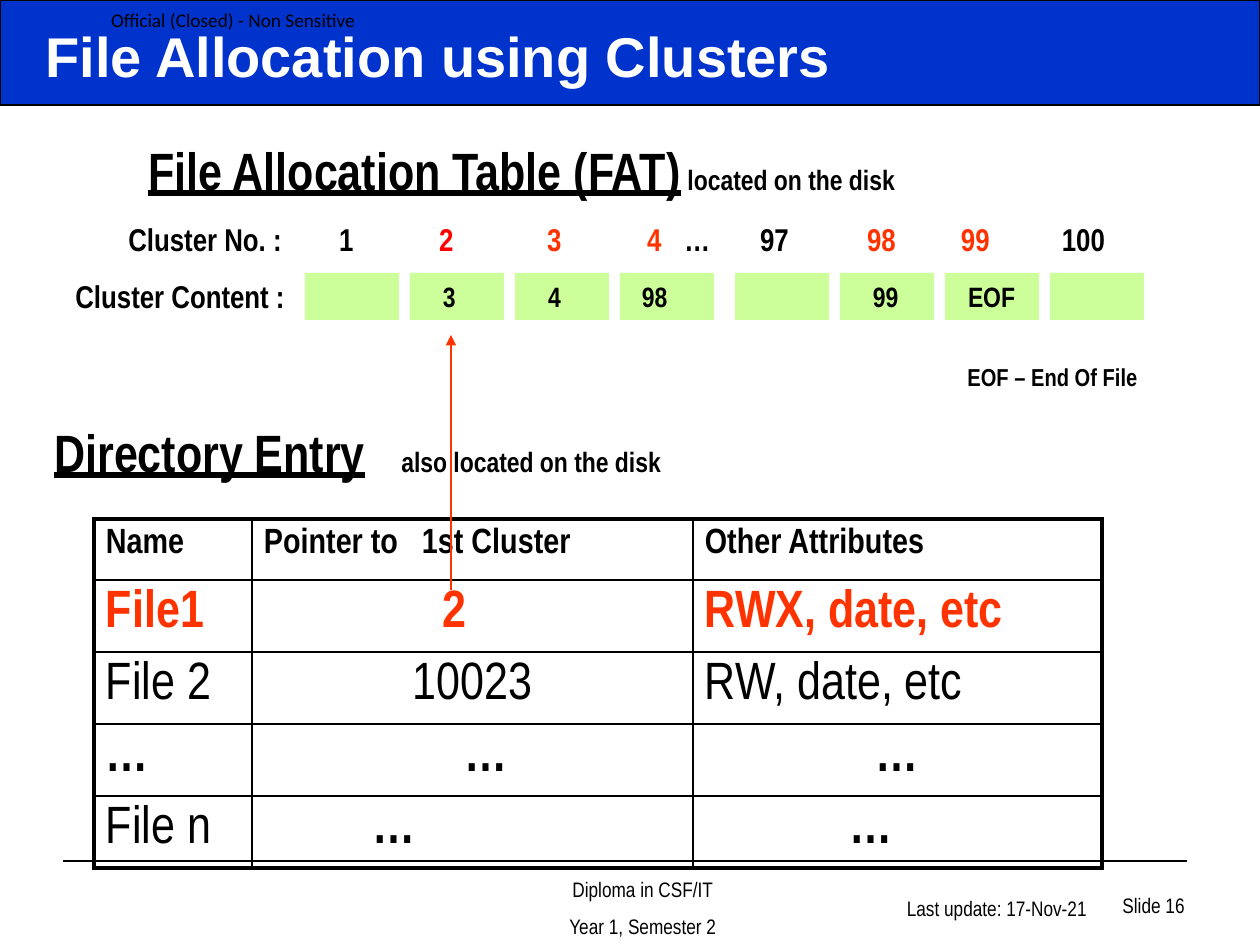
from lxml.etree import SubElement
from pptx import Presentation
from pptx.dml.color import RGBColor
from pptx.enum.shapes import MSO_CONNECTOR as Connector, MSO_SHAPE as Shape
from pptx.enum.text import MSO_ANCHOR as Anchor, PP_ALIGN as Align
from pptx.oxml.ns import qn
from pptx.util import Pt

PX = 7257.14  # EMU per pixel at 126 pixels to the inch
BLACK, WHITE, BLUE, GREEN = "000000", "FFFFFF", "0033CC", "CCFF99"
ORANGE, RED = "FF3300", "FF0000"
NARROW = "Arial Narrow"
LEFT, CENTER, RIGHT = Align.LEFT, Align.CENTER, Align.RIGHT

# Runs: (text, size, bold, colour, underline)
TITLE = [[("File Allocation using Clusters", 32, True, WHITE, False)]]
MARKING = [[("Official (Closed) - Non Sensitive", 11, False, BLACK, False)]]
FAT_HEADING = [[("File Allocation Table (FAT)", 30, True, BLACK, True),
                (" located on the disk", 16, True, BLACK, False)]]
DIRECTORY_HEADING = [[("Directory Entry", 30, True, BLACK, True),
                      ("\talso located on the disk", 16, True, BLACK, False)]]
EOF_NOTE = [[("EOF – End Of File", 14, True, BLACK, False)]]
CONTENT_LABEL = [[("Cluster Content :", 18, True, BLACK, False)]]
CLUSTER_NUMBERS = [[(text, 18, True, color, False) for text, color in (
    ("Cluster No. :\t1", BLACK), ("\t2", RED), ("\t3\t4", ORANGE),
    ("\t…\t97", BLACK), ("\t98\t99", ORANGE), ("\t100", BLACK))]]
NUMBER_CENTERS = (346, 446, 554, 654, 697, 774, 881, 975, 1083)
COURSE, UPDATED, PAGE = (
    [[(line, 12, False, BLACK, False)] for line in lines] for lines in (
        ("Diploma in CSF/IT", "Year 1, Semester 2"),
        ("Last update: 17-Nov-21",), ("Slide 16",)))

# Cluster contents in two banks: (first left edge, [(text, left inset)])
CLUSTER_BANKS = [
    (305, [("", 0), ("3", 33), ("4", 33), ("98", 22)]),
    (735, [("", 0), ("99", 33), ("EOF", 23), ("", 0)]),
]

# Directory cells: (text, bold, alignment, left inset)
COLUMN_WIDTHS = (158, 441, 409)
ROW_HEIGHTS = (61, 70, 71, 70, 70)
DIRECTORY = [
    [("Name", True, LEFT, 12), ("Pointer to   1st Cluster", True, LEFT, 12),
     ("Other Attributes", True, LEFT, 12)],
    [("File1", True, LEFT, 12), ("2", True, LEFT, 191),
     ("RWX, date, etc", True, LEFT, 12)],
    [("File 2", False, LEFT, 12), ("10023", False, CENTER, 12),
     ("RW, date, etc", False, LEFT, 12)],
    [("…", True, LEFT, 12), ("…", True, CENTER, 40), ("…", True, CENTER, 12)],
    [("File n", False, LEFT, 12), ("…", True, LEFT, 121),
     ("…", True, LEFT, 157)],
]


def px(value):
    return round(value * PX)


def rgb(color):
    return RGBColor.from_string(color)


def write(frame, paragraphs, font=NARROW, align=LEFT, before=0):
    for i, runs in enumerate(paragraphs):
        paragraph = frame.paragraphs[0] if i == 0 else frame.add_paragraph()
        paragraph.alignment = align
        paragraph.space_before = Pt(before)
        for text, size, bold, color, underline in runs:
            run = paragraph.add_run()
            run.text = text
            run.font.name, run.font.size = font, Pt(size)
            run.font.bold, run.font.underline = bold, underline
            run.font.color.rgb = rgb(color)


def add_text(box, paragraphs, anchor=Anchor.BOTTOM, inset=12.6, **style):
    frame = slide.shapes.add_textbox(*map(px, box)).text_frame
    frame.word_wrap = True
    frame.vertical_anchor = anchor
    frame.margin_left = px(inset)
    write(frame, paragraphs, **style)
    return frame


def add_tabs(frame, stops, align):
    tabs = SubElement(frame.paragraphs[0]._p.get_or_add_pPr(), qn("a:tabLst"))
    for stop in stops:
        SubElement(tabs, qn("a:tab"), pos=str(px(stop)), algn=align)


def add_rect(box, fill, line=None):
    rect = slide.shapes.add_shape(Shape.RECTANGLE, *map(px, box))
    rect.shadow.inherit = False
    rect.fill.solid()
    rect.fill.fore_color.rgb = rgb(fill)
    if line:
        rect.line.color.rgb, rect.line.width = rgb(line), Pt(1.5)
    else:
        rect.line.fill.background()
    return rect


def add_line(ends, color, width):
    line = slide.shapes.add_connector(Connector.STRAIGHT, *map(px, ends))
    line.line.color.rgb, line.line.width = rgb(color), Pt(width)
    SubElement(line._element.spPr, qn("a:effectLst"))
    return line


def add_borders(cell, widths):
    props = cell._tc.get_or_add_tcPr()
    for side, width in zip("LRTB", widths):
        border = SubElement(props, qn("a:ln" + side), w=str(Pt(width)))
        fill = SubElement(border, qn("a:solidFill"))
        SubElement(fill, qn("a:srgbClr"), val=BLACK)


deck = Presentation()
deck.slide_width, deck.slide_height = px(1260), px(945)
slide = deck.slides.add_slide(deck.slide_layouts[6])

# Footer and title bar
add_text((427, 892, 368, 53), COURSE, inset=76, align=CENTER, before=7)
add_line((63, 861, 1187, 861), BLACK, 1)
add_rect((0, 0, 1260, 105), BLUE, BLACK)
add_text((829, 874, 272, 53), UPDATED, inset=76, align=CENTER)
add_text((903, 861, 294, 63), PAGE, align=RIGHT)
add_text((111, 0, 268, 39), MARKING, Anchor.MIDDLE, 0, font="Calibri")
add_text((33, 24, 895, 63), TITLE, Anchor.MIDDLE, font="Arial")

# File allocation table
add_text((136, 131, 1008, 76), FAT_HEADING)
numbers = add_text((116, 214, 1031, 50), CLUSTER_NUMBERS)
add_tabs(numbers, [center - 128 for center in NUMBER_CENTERS], "ctr")
add_text((63, 271, 237, 50), CONTENT_LABEL)
for bank_left, clusters in CLUSTER_BANKS:
    for i, (content, inset) in enumerate(clusters):
        cluster = add_rect((bank_left + 105 * i, 273, 94, 47), GREEN)
        if content:
            frame = cluster.text_frame
            frame.margin_left, frame.margin_right = px(inset), 0
            frame.vertical_anchor = Anchor.MIDDLE
            write(frame, [[(content, 16, True, BLACK, False)]])
add_text((955, 355, 205, 43), EOF_NOTE)

# Directory entry
heading = add_text((42, 413, 644, 76), DIRECTORY_HEADING)
add_tabs(heading, [347], "l")
rows, columns = len(ROW_HEIGHTS), len(COLUMN_WIDTHS)
directory = slide.shapes.add_table(
    rows, columns, px(94), px(519),
    px(sum(COLUMN_WIDTHS)), px(sum(ROW_HEIGHTS))).table
directory.first_row = directory.horz_banding = False
for column, width in zip(directory.columns, COLUMN_WIDTHS):
    column.width = px(width)
for r, (height, entries) in enumerate(zip(ROW_HEIGHTS, DIRECTORY)):
    directory.rows[r].height = px(height)
    for c, (text, bold, align, inset) in enumerate(entries):
        cell = directory.cell(r, c)
        outer = (c == 0, c == columns - 1, r == 0, r == rows - 1)
        add_borders(cell, [2.25 if edge else 1 for edge in outer])
        cell.fill.background()
        cell.margin_left, cell.margin_right = px(inset), px(12)
        cell.margin_top, cell.margin_bottom = px(9), 0
        size = 20 if r == 0 else 30
        color = ORANGE if r == 1 else BLACK
        write(cell.text_frame, [[(text, size, bold, color, False)]], align=align)

# Pointer from the directory to the first cluster
pointer = add_line((451, 590, 451, 335), ORANGE, 0.75)
SubElement(pointer.line._get_or_add_ln(), qn("a:tailEnd"), type="triangle")

deck.save("out.pptx")
